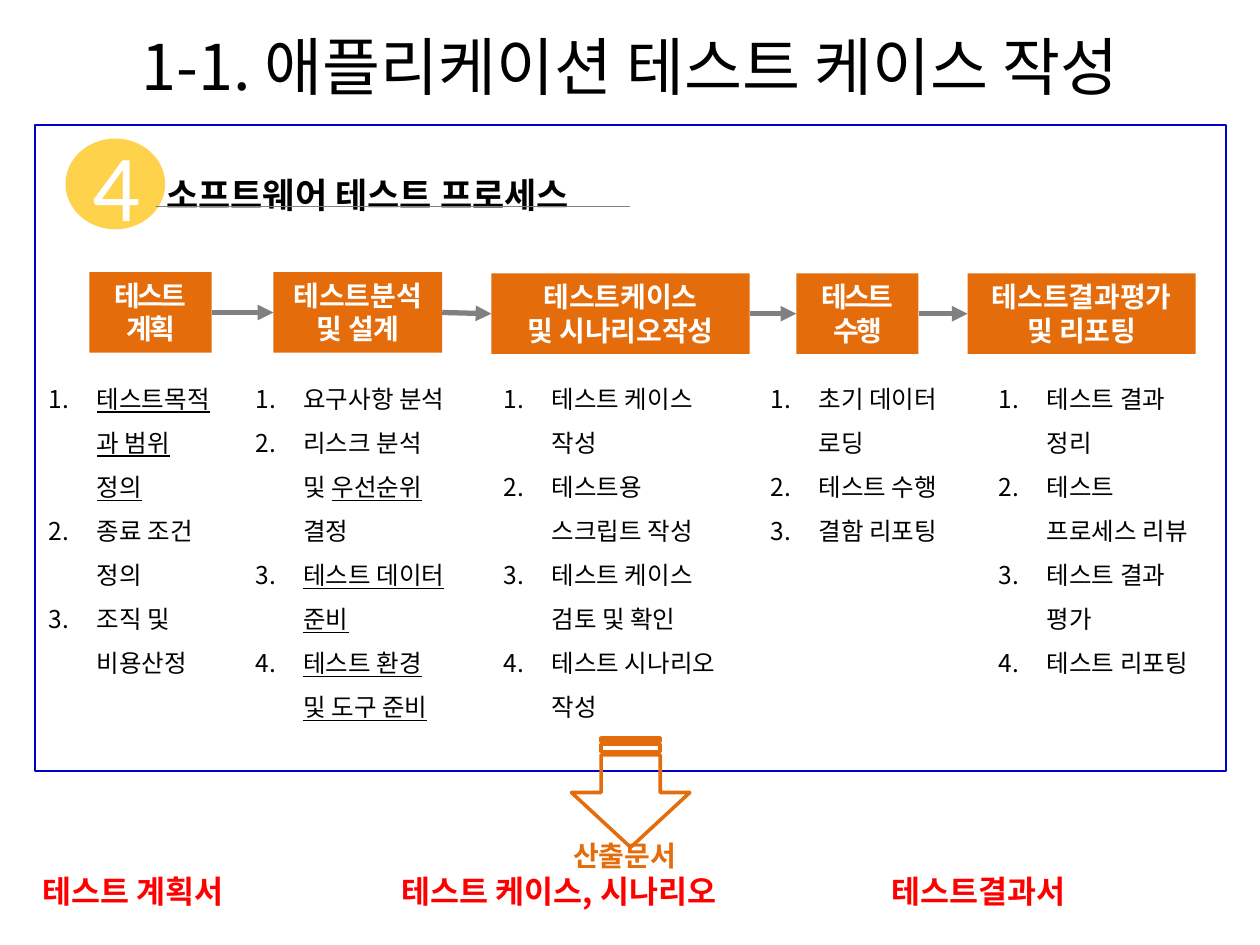
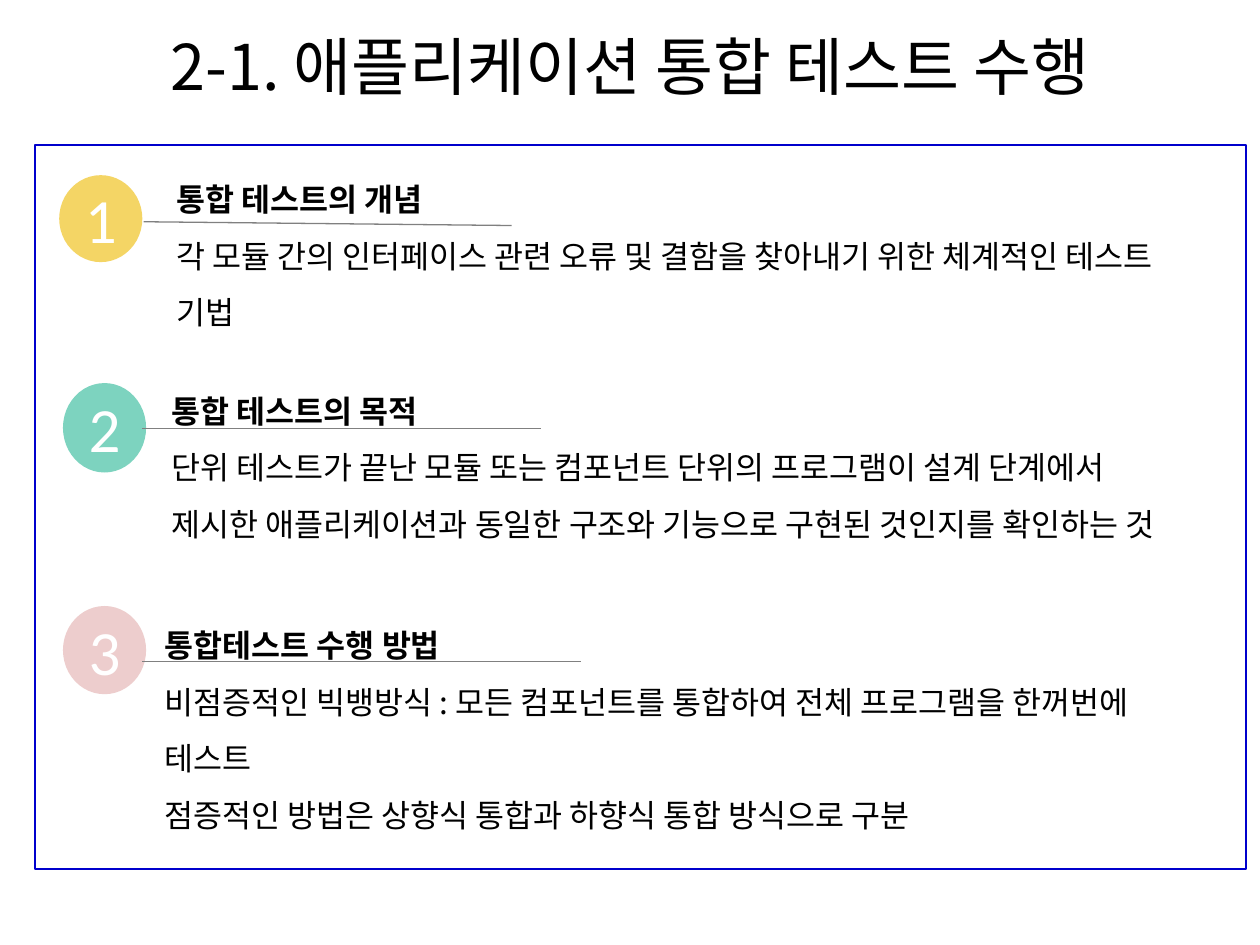
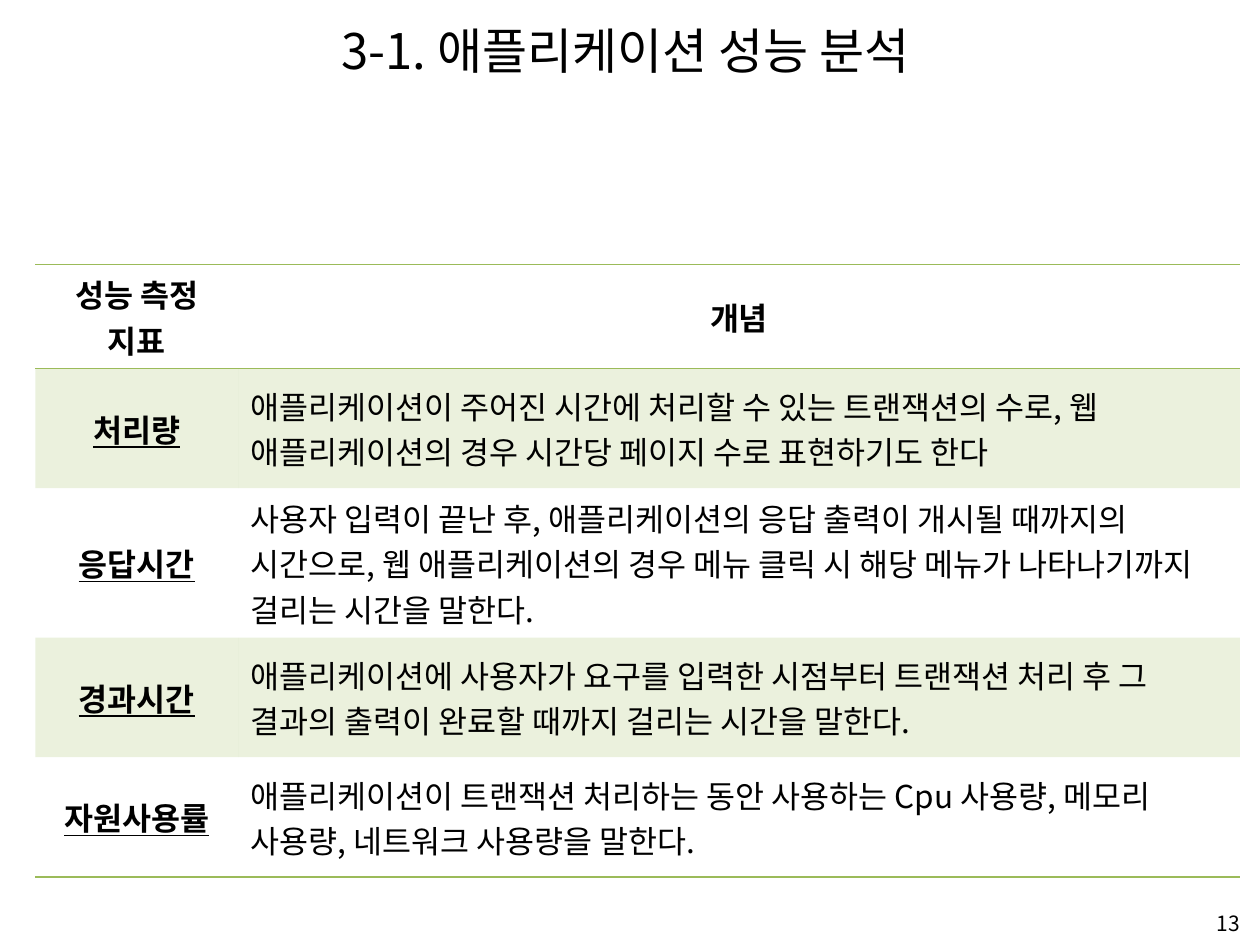
"""Build three slides on application testing."""
from itertools import pairwise

from lxml.etree import SubElement
from pptx import Presentation
from pptx.dml.color import RGBColor
from pptx.enum.shapes import MSO_CONNECTOR as Connector, MSO_SHAPE as Shape
from pptx.enum.text import MSO_ANCHOR as Anchor, PP_ALIGN as Align
from pptx.oxml.ns import qn
from pptx.util import Inches, Pt

FONT = "Noto Sans CJK KR"
DIGIT_FONT = "Calibri"
BLACK, WHITE, GRAY = "000000", "FFFFFF", "808080"
ORANGE, RED, BLUE, GREEN = "E46C0A", "FF0000", "0000CC", "9BBB59"
LINE_HEIGHT = 1.2
LIST_INDENT = 0.38

STAGES = [
    (0.71, 2.16, 0.97, ["테스트", "계획"], -150),
    (2.17, 2.16, 1.34, ["테스트분석", "및 설계"], 0),
    (3.9, 2.17, 2.05, ["테스트케이스", "및 시나리오작성"], 0),
    (6.32, 2.17, 0.97, ["테스트", "수행"], -150),
    (7.68, 2.17, 1.81, ["테스트결과평가 및 리포팅"], 0),
]
TASKS = [
    (0.29, 1.48, ["_테스트목적과 범위 정의_", "종료 조건 정의", "조직 및 비용산정"]),
    (1.93, 1.72, ["요구사항 분석", "리스크 분석 및 _우선순위_ 결정",
                  "_테스트 데이터 준비_", "_테스트 환경 및 도구 준비_"]),
    (3.9, 2.05, ["테스트 케이스 작성", "테스트용 스크립트 작성",
                 "테스트 케이스 검토 및 확인", "테스트 시나리오 작성"]),
    (6.02, 1.65, ["초기 데이터 로딩", "테스트 수행", "결함 리포팅"]),
    (7.83, 1.81, ["테스트 결과 정리", "테스트 프로세스 리뷰", "테스트 결과 평가", "테스트 리포팅"]),
]
DOCUMENTS = [(0.24, "테스트 계획서"), (3.09, "테스트 케이스, 시나리오"), (6.98, "테스트결과서")]
TOPICS = [
    ("1", "F0C424", (0.47, 1.39, 0.66, 0.69), (1.3, 1.23, 8.15, 1.41),
     (1.14, 1.76, 4.06, 1.79), "통합 테스트의 개념",
     ["각 모듈 간의 인터페이스 관련 오류 및 결함을 찾아내기 위한 체계적인 테스트 기법"]),
    ("2", "46C1A4", (0.5, 3.04, 0.66, 0.71), (1.26, 2.91, 8.3, 1.86),
     (1.13, 3.4, 4.29, 3.4), "통합 테스트의 목적",
     ["단위 테스트가 끝난 모듈 또는 컴포넌트 단위의 프로그램이 설계 단계에서 "
      "제시한 애플리케이션과 동일한 구조와 기능으로 구현된 것인지를 확인하는 것"]),
    ("3", "E6B9B8", (0.5, 4.81, 0.66, 0.7), (1.21, 4.77, 8.28, 1.86),
     (1.13, 5.25, 4.61, 5.25), "통합테스트 수행 방법",
     ["비점증적인 빅뱅방식 : 모든 컴포넌트를 통합하여 전체 프로그램을 한꺼번에 테스트",
      "점증적인 방법은 상향식 통합과 하향식 통합 방식으로 구분"]),
]
METRICS = [
    ("성능 측정 지표", "개념"),
    ("처리량", "애플리케이션이 주어진 시간에 처리할 수 있는 트랜잭션의 수로, 웹 "
              "애플리케이션의 경우 시간당 페이지 수로 표현하기도 한다"),
    ("응답시간", "사용자 입력이 끝난 후, 애플리케이션의 응답 출력이 개시될 때까지의 시간으로, "
                "웹 애플리케이션의 경우 메뉴 클릭 시 해당 메뉴가 나타나기까지 걸리는 시간을 말한다."),
    ("경과시간", "애플리케이션에 사용자가 요구를 입력한 시점부터 트랜잭션 처리 후 그 결과의 "
                "출력이 완료할 때까지 걸리는 시간을 말한다."),
    ("자원사용률", "애플리케이션이 트랜잭션 처리하는 동안 사용하는 Cpu 사용량, 메모리 사용량, "
                  "네트워크 사용량을 말한다."),
]


def color(value):
    """Turn a hex string into a colour."""
    return RGBColor.from_string(value)


def box(*lengths):
    """Turn inch values into lengths."""
    return [Inches(length) for length in lengths]


def add_run(paragraph, text, size, hue=BLACK, bold=False, underline=False,
            font=FONT, tracking=0):
    """Add one formatted run."""
    run = paragraph.add_run()
    run.text = text
    run.font.size = Pt(size)
    run.font.bold = bold
    run.font.underline = underline
    run.font.color.rgb = color(hue)
    run.font.name = font
    properties = run._r.get_or_add_rPr()
    SubElement(properties, qn("a:ea"), typeface=font)
    if tracking:
        properties.set("spc", str(tracking))


def add_paragraph(frame, first, size, spacing=1.0, align=Align.LEFT):
    """Return the first or a new paragraph with its line pitch set."""
    paragraph = frame.paragraphs[0] if first else frame.add_paragraph()
    paragraph.alignment = align
    paragraph.line_spacing = Pt(round(size * LINE_HEIGHT * spacing, 1))
    return paragraph


def add_text(slide, place, lines, size, hue=BLACK, spacing=1.0,
             align=Align.LEFT, bold_lines=1):
    """Add a text box whose leading lines are bold."""
    frame = slide.shapes.add_textbox(*box(*place)).text_frame
    frame.word_wrap = True
    for index, line in enumerate(lines):
        paragraph = add_paragraph(frame, index == 0, size, spacing, align)
        add_run(paragraph, line, size, hue, bold=index < bold_lines)
    return frame


def add_numbered_list(slide, place, items):
    """Add a numbered list, underlining the parts between underscores."""
    frame = slide.shapes.add_textbox(*box(*place)).text_frame
    frame.word_wrap = True
    for index, item in enumerate(items):
        paragraph = add_paragraph(frame, index == 0, 14, 1.5)
        properties = paragraph._p.get_or_add_pPr()
        properties.set("marL", str(Inches(LIST_INDENT)))
        properties.set("indent", str(-Inches(LIST_INDENT)))
        SubElement(properties, qn("a:buFont"), typeface="+mj-lt")
        SubElement(properties, qn("a:buAutoNum"), type="arabicPeriod")
        for part_index, part in enumerate(item.split("_")):
            if part:
                add_run(paragraph, part, 14, underline=part_index % 2 == 1)


def set_alpha(fill_parent, percent):
    """Make a solid fill partly transparent."""
    hue = fill_parent.find(qn("a:solidFill")).find(qn("a:srgbClr"))
    SubElement(hue, qn("a:alpha"), val=str(percent * 1000))


def add_shape(slide, kind, place, fill=None, line=None, width=1):
    """Add a preset shape with an optional fill and outline."""
    shape = slide.shapes.add_shape(kind, *box(*place))
    shape.shadow.inherit = False
    if fill:
        shape.fill.solid()
        shape.fill.fore_color.rgb = color(fill)
    else:
        shape.fill.background()
    if line:
        shape.line.color.rgb = color(line)
        shape.line.width = Pt(width)
    else:
        shape.line.fill.background()
    return shape


def add_badge(slide, place, digit, hue, size):
    """Add a translucent circle holding a digit."""
    badge = add_shape(slide, Shape.OVAL, place, hue)
    set_alpha(badge._element.spPr, 70)
    paragraph = badge.text_frame.paragraphs[0]
    paragraph.alignment = Align.CENTER
    add_run(paragraph, digit, size, WHITE, font=DIGIT_FONT)


def add_line(slide, ends, width=0.75):
    """Add a gray straight line."""
    line = slide.shapes.add_connector(Connector.STRAIGHT, *box(*ends))
    line.line.color.rgb = color(GRAY)
    line.line.width = Pt(width)
    SubElement(line._element.spPr, qn("a:effectLst"))
    return line


def add_arrow(slide, source, target):
    """Join two boxes side to side with an arrow."""
    arrow = add_line(slide, (0, 0, 1, 1), 3)
    arrow.begin_connect(source, 3)
    arrow.end_connect(target, 1)
    SubElement(arrow.line._get_or_add_ln(), qn("a:tailEnd"), type="triangle")


def add_stage(slide, left, top, width, lines, tracking):
    """Add an orange process box."""
    stage = add_shape(slide, Shape.RECTANGLE, (left, top, width, 0.64), ORANGE)
    frame = stage.text_frame
    frame.vertical_anchor = Anchor.TOP
    for index, line in enumerate(lines):
        paragraph = add_paragraph(frame, index == 0, 16, align=Align.CENTER)
        add_run(paragraph, line, 16, WHITE, bold=True, tracking=tracking)
    return stage


def add_slide(presentation, title, size=36, place=(0.12, 0.05, 9.76, 0.94)):
    """Add a slide with a centred title."""
    slide = presentation.slides.add_slide(presentation.slide_layouts[5])
    heading = slide.shapes.title
    heading.left, heading.top, heading.width, heading.height = box(*place)
    heading.text_frame.vertical_anchor = Anchor.MIDDLE
    paragraph = heading.text_frame.paragraphs[0]
    paragraph.alignment = Align.CENTER
    add_run(paragraph, title, size)
    return slide


def set_borders(cell, top, bottom):
    """Draw green rules where asked and clear the other borders."""
    properties = cell._tc.get_or_add_tcPr()
    sides = [("a:lnL", False), ("a:lnR", False), ("a:lnT", top), ("a:lnB", bottom)]
    for index, (tag, shown) in enumerate(sides):
        border = SubElement(properties, qn(tag), w=str(Pt(1)))
        if shown:
            fill = SubElement(border, qn("a:solidFill"))
            SubElement(fill, qn("a:srgbClr"), val=GREEN)
        else:
            SubElement(border, qn("a:noFill"))
        properties.remove(border)
        properties.insert(index, border)


def add_metrics_table(slide):
    """Add the table of performance metrics."""
    last = len(METRICS) - 1
    table = slide.shapes.add_table(last + 1, 2, *box(0.28, 2.1, 9.56, 4.4)).table
    table.first_row = table.horz_banding = False
    for column, width in zip(table.columns, (1.61, 7.95)):
        column.width = Inches(width)
    for row_index, texts in enumerate(METRICS):
        header = row_index == 0
        table.rows[row_index].height = Inches(0.6 if header else 0.95)
        for column_index, text in enumerate(texts):
            cell = table.cell(row_index, column_index)
            name = column_index == 0
            cell.vertical_anchor = Anchor.MIDDLE
            paragraph = cell.text_frame.paragraphs[0]
            paragraph.alignment = Align.CENTER if header or name else Align.LEFT
            add_run(paragraph, text, 18, bold=header or name,
                    underline=name and not header)
            if row_index % 2:
                cell.fill.solid()
                cell.fill.fore_color.rgb = color(GREEN)
                set_alpha(cell._tc.tcPr, 20)
            else:
                cell.fill.background()
            set_borders(cell, row_index in (0, 1), row_index in (0, last))


def build_process_slide(presentation):
    """Build the test process slide."""
    slide = add_slide(presentation, "1-1. 애플리케이션 테스트 케이스 작성")
    add_badge(slide, (0.52, 1.1, 0.79, 0.72), "4", "FFC000", 54)
    add_text(slide, (1.22, 1.16, 8.42, 0.48), ["소프트웨어 테스트 프로세스"], 20, spacing=1.5)
    add_line(slide, (1.24, 1.64, 5, 1.64))
    add_shape(slide, Shape.RECTANGLE, (0.28, 0.99, 9.45, 5.13), line=BLUE)
    stages = [add_stage(slide, *stage) for stage in STAGES]
    for source, target in pairwise(stages):
        add_arrow(slide, source, target)
    for left, width, items in TASKS:
        add_numbered_list(slide, (left, 2.88, width, 3.24), items)
    arrow = add_shape(slide, Shape.STRIPED_RIGHT_ARROW, (4.57, 5.82, 0.87, 0.94),
                      line=ORANGE, width=2)
    arrow.rotation = 90
    for left, document in DOCUMENTS:
        add_text(slide, (left, 6.87, 2.9, 0.4), [document], 18, RED)
    add_text(slide, (4.45, 6.61, 1.1, 0.37), ["산출문서"], 16, ORANGE)


def build_integration_slide(presentation):
    """Build the integration test slide."""
    slide = add_slide(presentation, "2-1. 애플리케이션 통합 테스트 수행")
    add_shape(slide, Shape.RECTANGLE, (0.28, 1.15, 9.61, 5.75), line=BLUE)
    for digit, hue, circle, place, rule, heading, lines in TOPICS:
        add_badge(slide, circle, digit, hue, 36)
        add_text(slide, place, [heading, *lines], 18, spacing=1.5)
        add_line(slide, rule)


def build_performance_slide(presentation):
    """Build the performance metrics slide."""
    slide = add_slide(presentation, "3-1. 애플리케이션 성능 분석", 28, (0.12, 0.05, 9.69, 0.69))
    add_metrics_table(slide)
    number = add_text(slide, (7.61, 7.2, 2.33, 0.25), ["13"], 12,
                      align=Align.RIGHT, bold_lines=0)
    number.vertical_anchor = Anchor.MIDDLE


def main():
    """Build and save the presentation."""
    presentation = Presentation()
    presentation.slide_width, presentation.slide_height = box(10, 7.5)
    build_process_slide(presentation)
    build_integration_slide(presentation)
    build_performance_slide(presentation)
    presentation.save("out.pptx")


if __name__ == "__main__":
    main()
